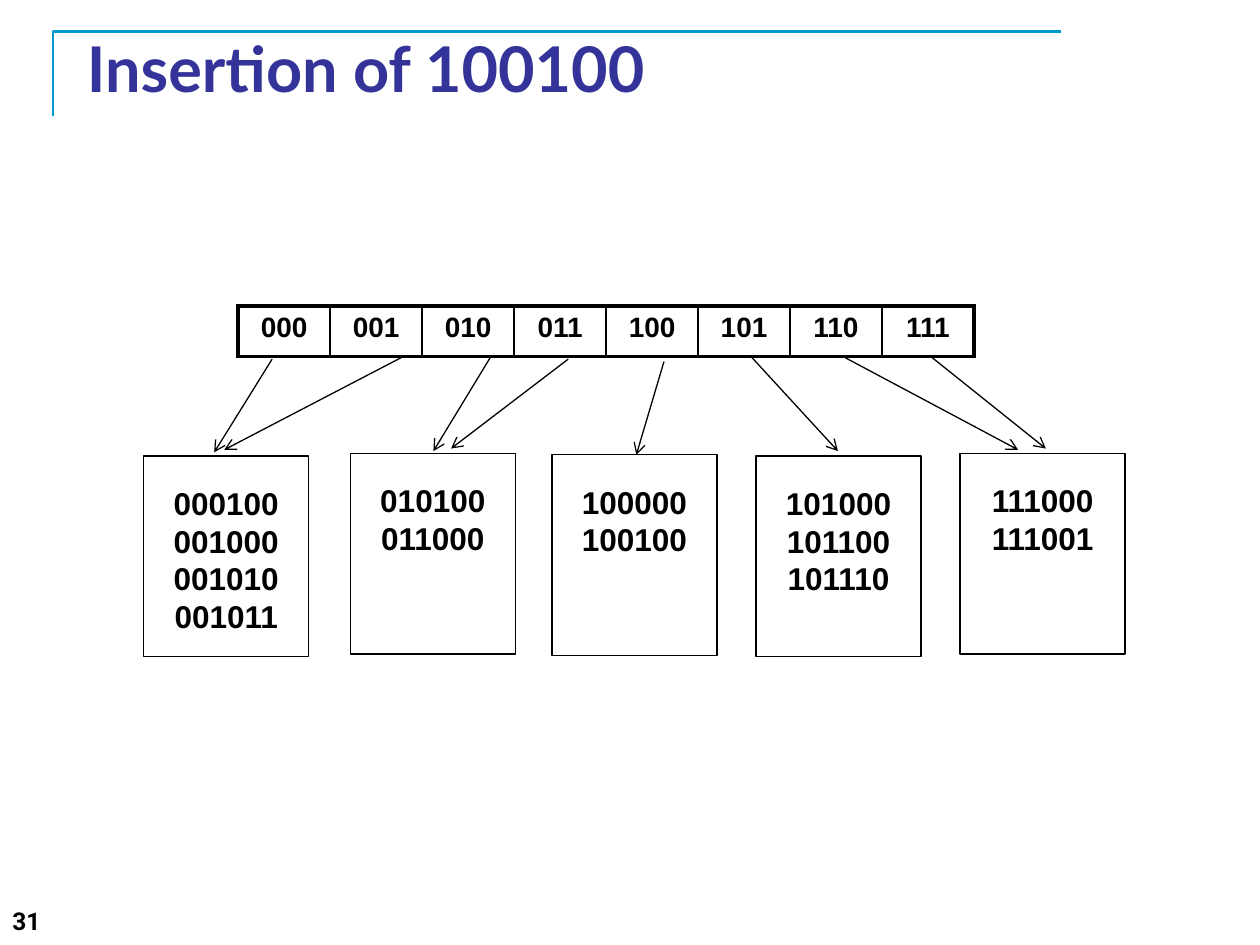
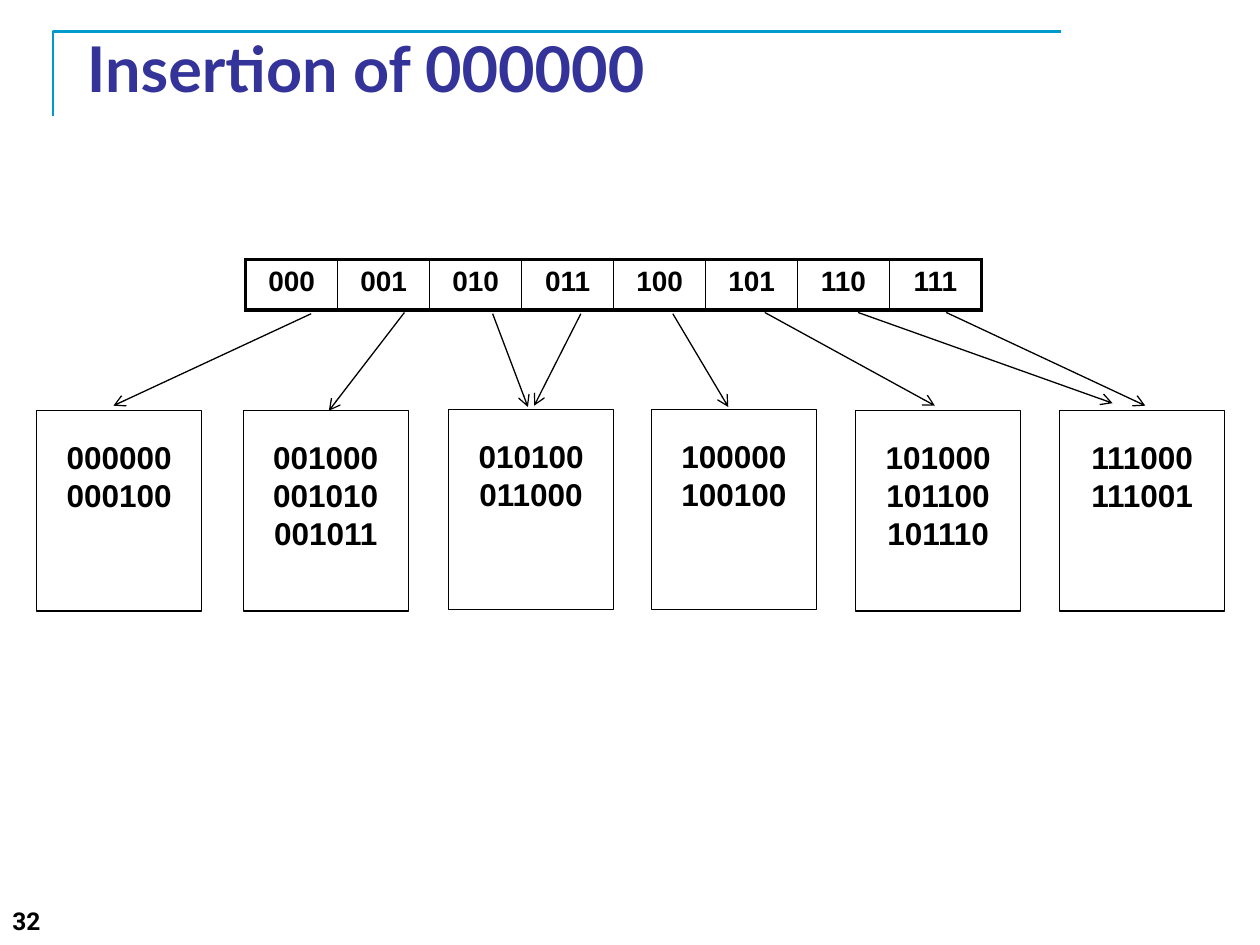
from lxml import etree
from pptx import Presentation
from pptx import util as u
from pptx.dml.color import RGBColor
from pptx.enum import shapes, text
from pptx.oxml import parse_xml
from pptx.oxml.ns import nsdecls, qn

BLACK, WHITE, NAVY, TEAL = "000000", "FFFFFF", "333399", "0099CC"
PREFIXES = ["000", "001", "010", "011", "100", "101", "110", "111"]
BOX_W, BOX_H, COL_W, ROW_H = 1.31, 1.59, 0.73, 0.4

SLIDES = [
    {
        "title": "Insertion of 100100",
        "number": "31",
        "directory": (1.89, 2.43),
        "buckets": [
            (1.14, 3.62, "000100 001000 001010 001011"),
            (2.78, 3.6, "010100 011000"),
            (4.38, 3.61, "100000 100100"),
            (6, 3.62, "101000 101100 101110"),
            (7.62, 3.6, "111000 111001"),
        ],
        "arrows": [
            (2.16, 2.85, 1.7, 3.59),
            (3.2, 2.83, 1.78, 3.57),
            (3.89, 2.84, 3.44, 3.58),
            (4.51, 2.85, 3.58, 3.56),
            (5.27, 2.87, 5.05, 3.61),
            (5.97, 2.84, 6.65, 3.58),
            (6.71, 2.84, 8.08, 3.57),
            (7.4, 2.84, 8.3, 3.56),
        ],
    },
    {
        "title": "Insertion of 000000",
        "number": "32",
        "directory": (1.95, 2.06),
        "buckets": [
            (0.29, 3.26, "000000 000100"),
            (1.93, 3.26, "001000 001010 001011"),
            (3.56, 3.25, "010100 011000"),
            (5.17, 3.25, "100000 100100"),
            (6.79, 3.26, "101000 101100 101110"),
            (8.41, 3.26, "111000 111001"),
        ],
        "arrows": [
            (2.47, 2.49, 0.9, 3.22),
            (3.21, 2.48, 2.61, 3.26),
            (3.91, 2.49, 4.19, 3.23),
            (4.61, 2.49, 4.24, 3.22),
            (5.34, 2.49, 5.78, 3.23),
            (6.07, 2.48, 7.42, 3.22),
            (6.81, 2.48, 8.83, 3.2),
            (7.51, 2.48, 9.09, 3.22),
        ],
    },
]


def rgb(value):
    return RGBColor.from_string(value)


def write(tf, content, size=18, font="Arial", color=BLACK, bold=True,
          align=text.PP_ALIGN.CENTER, anchor=text.MSO_ANCHOR.TOP, wrap=True):
    tf.word_wrap = wrap
    tf.auto_size = text.MSO_AUTO_SIZE.NONE
    tf.vertical_anchor = anchor
    for i, line in enumerate(content.split("\n")):
        p = tf.add_paragraph() if i else tf.paragraphs[0]
        p.alignment = align
        r = p.add_run()
        r.text = line
        r.font.size = u.Pt(size)
        r.font.name = font
        r.font.bold = bold
        r.font.color.rgb = rgb(color)


prs = Presentation()
prs.slide_width, prs.slide_height = u.Inches(10), u.Inches(7.5)
layout = prs.slide_layouts[5]

for index, data in enumerate(SLIDES):
    s = prs.slides.add_slide(layout)

    if index == 0:
        fb = s.shapes.build_freeform(u.Inches(0.42), u.Inches(0.92))
        fb.add_line_segments([(u.Inches(0.42), u.Inches(0.25)),
                              (u.Inches(8.42), u.Inches(0.25))], close=False)
        band = fb.convert_to_shape()
        band.shadow.inherit = False
        band.fill.background()
        band.line.color.rgb = rgb(TEAL)
        band.line.width = u.Pt(1.5)
        layout.shapes.element.append(band.element)

    title = s.shapes.title
    title.left, title.top = u.Inches(0.59), u.Inches(0.3)
    title.width, title.height = u.Inches(8.5), u.Inches(0.47)
    write(title.text_frame, data["title"], size=36, font="Lato", color=NAVY,
          align=text.PP_ALIGN.JUSTIFY, anchor=text.MSO_ANCHOR.MIDDLE)

    number = s.shapes.add_textbox(u.Inches(0), u.Inches(7.14),
                                  u.Inches(3.12), u.Inches(0.36))
    write(number.text_frame, data["number"], size=14, font="Roboto",
          align=text.PP_ALIGN.LEFT)

    for x, y, keys in data["buckets"]:
        sp = s.shapes.add_shape(shapes.MSO_SHAPE.RECTANGLE, u.Inches(x), u.Inches(y),
                                u.Inches(BOX_W), u.Inches(BOX_H))
        sp.shadow.inherit = False
        sp.fill.solid()
        sp.fill.fore_color.rgb = rgb(WHITE)
        sp.line.color.rgb = rgb(BLACK)
        sp.line.width = u.Pt(0.75)
        sp.text_frame.margin_top = u.Inches(0.22)
        write(sp.text_frame, keys.replace(" ", "\n"), wrap=False)

    for ends in data["arrows"]:
        arrow = s.shapes.add_connector(shapes.MSO_CONNECTOR.STRAIGHT,
                                       *[u.Inches(v) for v in ends])
        arrow.line.color.rgb = rgb(BLACK)
        arrow.line.width = u.Pt(0.75)
        ln = arrow.line.fill and arrow.element.spPr.find(qn("a:ln"))
        etree.SubElement(ln, qn("a:tailEnd"), type="arrow")
        etree.SubElement(arrow.element.spPr, qn("a:effectLst"))

    x, y = data["directory"]
    table = s.shapes.add_table(1, len(PREFIXES), u.Inches(x), u.Inches(y),
                               u.Inches(COL_W * len(PREFIXES)), u.Inches(ROW_H)).table
    table.first_row = table.horz_banding = False
    last = len(PREFIXES) - 1
    for i, prefix in enumerate(PREFIXES):
        table.columns[i].width = u.Inches(COL_W)
        cell = table.cell(0, i)
        cell.fill.solid()
        cell.fill.fore_color.rgb = rgb(WHITE)
        write(cell.text_frame, prefix, size=16)
        edges = [("L", 2.25 if i == 0 else 1), ("R", 2.25 if i == last else 1),
                 ("T", 2.25), ("B", 2.25)]
        for position, (side, width) in enumerate(edges):
            border = parse_xml(
                f'<a:ln{side} {nsdecls("a")} w="{u.Pt(width)}"><a:solidFill>'
                f'<a:srgbClr val="{BLACK}"/></a:solidFill></a:ln{side}>')
            cell.fill and cell._tc.get_or_add_tcPr().insert(position, border)

prs.save("out.pptx")
